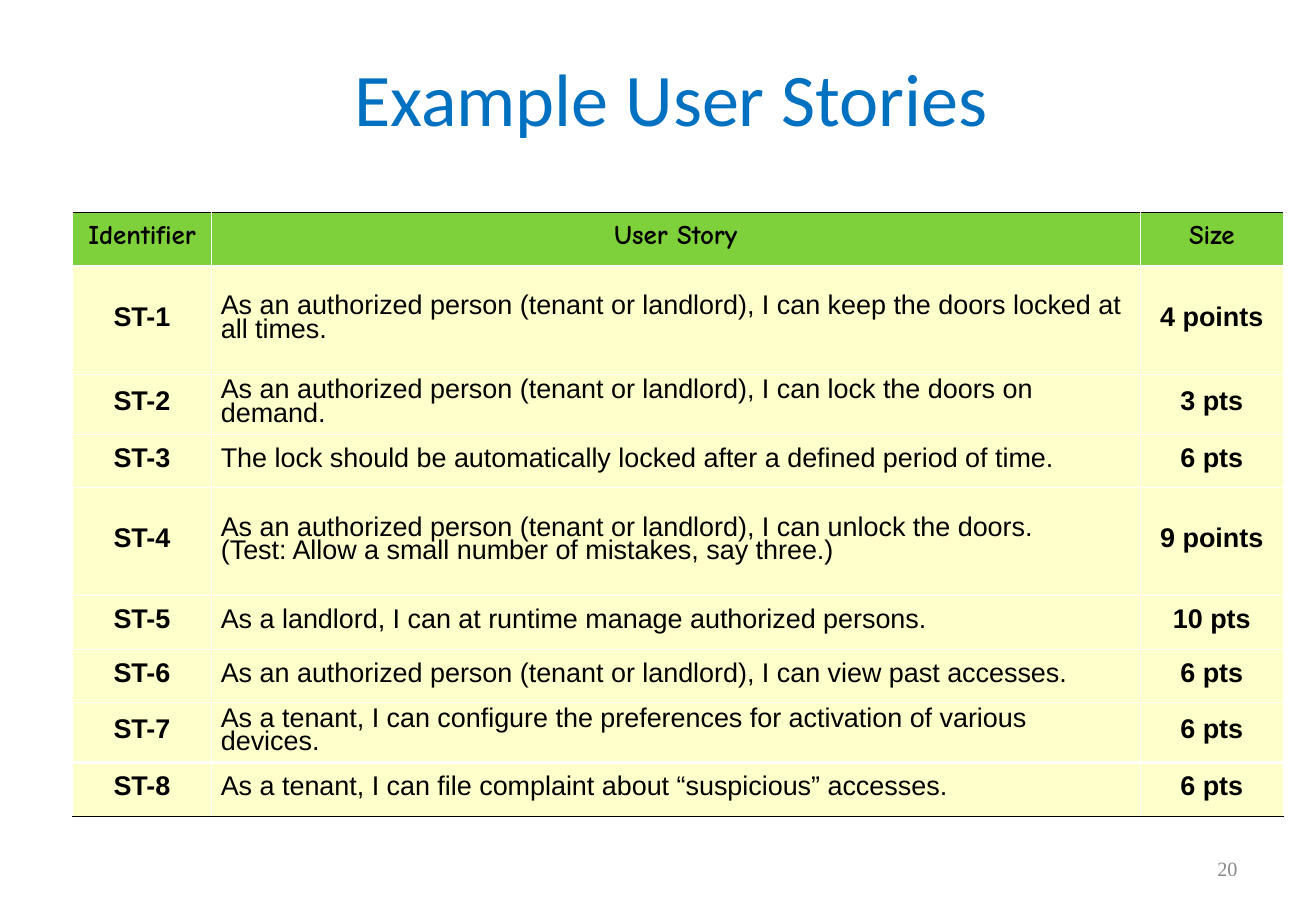
import pptx
import pptx.dml.color
import pptx.enum.text
import pptx.oxml
import pptx.oxml.ns
import pptx.util
from dataclasses import dataclass
from pptx.util import Cm, Pt

# Content
TITLE = "Example User Stories"
PAGE_NUMBER = "20"
HEADINGS = ("Identifier", "User Story", "Size")
STORIES = [
    ("ST-1", "As an authorized person (tenant or landlord), I can keep the doors locked at all times.", "4 points"),
    ("ST-2", "As an authorized person (tenant or landlord), I can lock the doors on demand.", "3 pts"),
    ("ST-3", "The lock should be automatically locked after a defined period of time.", "6 pts"),
    ("ST-4", "As an authorized person (tenant or landlord), I can unlock the doors.\n"
             "(Test: Allow a small number of mistakes, say three.)", "9 points"),
    ("ST-5", "As a landlord, I can at runtime manage authorized persons.", "10 pts"),
    ("ST-6", "As an authorized person (tenant or landlord), I can view past accesses.", "6 pts"),
    ("ST-7", "As a tenant, I can configure the preferences for activation of various devices.", "6 pts"),
    ("ST-8", "As a tenant, I can file complaint about “suspicious” accesses.", "6 pts"),
]
COLUMN_WIDTHS = (2.9, 19.43, 3.0)
ROW_HEIGHT, TALL_ROW_HEIGHT = 1.12, 2.26
TALL_ROWS = {1, 4}
STORY_COLUMN = 1


@dataclass(frozen=True)
class Theme:
    title_color: str = "0070C0"
    text_color: str = "000000"
    number_color: str = "898989"
    header_fill: str = "7FD13B"
    body_fill: str = "FFFFCC"
    grid_color: str = "FFFFFF"
    frame_color: str = "000000"
    thin_line: float = 0.45
    thick_line: float = 1.47
    title_font: str = "Calibri"
    header_font: str = "Comic Neue"
    body_font: str = "Arial"
    number_font: str = "Times New Roman"
    title_size: int = 44
    table_size: int = 16
    number_size: int = 12


THEME = Theme()
ALIGN = pptx.enum.text.PP_ALIGN
MIDDLE = pptx.enum.text.MSO_ANCHOR.MIDDLE


def write(paragraph, text, font_name, size, color, alignment, bold=False):
    paragraph.text = text
    paragraph.alignment = alignment
    paragraph.font.name = font_name
    paragraph.font.size = Pt(size)
    paragraph.font.bold = bold
    paragraph.font.color.rgb = pptx.dml.color.RGBColor.from_string(color)


def add_border(cell, side, color, width):
    cell._tc.get_or_add_tcPr().append(pptx.oxml.parse_xml(
        f'<a:{side} {pptx.oxml.ns.nsdecls("a")} w="{Pt(width)}">'
        f'<a:solidFill><a:srgbClr val="{color}"/></a:solidFill></a:{side}>'))


def rule_above(row, row_count):
    """Colour and width of the horizontal rule above a row."""
    if row in (0, row_count):
        return THEME.frame_color, THEME.thin_line
    if row in (1, row_count - 1):
        return THEME.grid_color, THEME.thick_line
    return THEME.grid_color, THEME.thin_line


def format_cell(cell, text, row, column, row_count):
    is_header = row == 0
    is_story = column == STORY_COLUMN and not is_header
    for side in ("lnL", "lnR"):
        add_border(cell, side, THEME.grid_color, THEME.thin_line)
    add_border(cell, "lnT", *rule_above(row, row_count))
    add_border(cell, "lnB", *rule_above(row + 1, row_count))
    cell.fill.solid()
    fill_color = THEME.header_fill if is_header else THEME.body_fill
    cell.fill.fore_color.rgb = pptx.dml.color.RGBColor.from_string(fill_color)

    cell.vertical_anchor = MIDDLE
    cell.margin_left = cell.margin_right = Cm(0.05 if is_header and column == 0 else 0.2)
    cell.margin_top = cell.margin_bottom = Cm(0.13)
    paragraph = cell.text_frame.paragraphs[0]
    write(paragraph, text, THEME.header_font if is_header else THEME.body_font, THEME.table_size,
          THEME.text_color, ALIGN.LEFT if is_story else ALIGN.CENTER, bold=not is_story)
    paragraph.line_spacing = Pt(14)
    paragraph.space_before = paragraph.space_after = Pt(2)


def main():
    presentation = pptx.Presentation()
    presentation.slide_width, presentation.slide_height = Cm(27.53), Cm(19.05)
    slide = presentation.slides.add_slide(presentation.slide_layouts[5])

    # Title
    title = slide.shapes.title
    title.left, title.top, title.width, title.height = Cm(1.14), Cm(0.43), Cm(25.81), Cm(3.18)
    title.text_frame.vertical_anchor = MIDDLE
    write(title.text_frame.paragraphs[0], TITLE, THEME.title_font, THEME.title_size,
          THEME.title_color, ALIGN.CENTER)

    # Story table
    rows = [HEADINGS, *STORIES]
    heights = [TALL_ROW_HEIGHT if row in TALL_ROWS else ROW_HEIGHT for row in range(len(rows))]
    table = slide.shapes.add_table(len(rows), len(HEADINGS), Cm(1.52), Cm(4.45),
                                   Cm(sum(COLUMN_WIDTHS)), Cm(sum(heights))).table
    table.horz_banding = False
    for column, width in enumerate(COLUMN_WIDTHS):
        table.columns[column].width = Cm(width)
    for row, (texts, height) in enumerate(zip(rows, heights)):
        table.rows[row].height = Cm(height)
        for column, text in enumerate(texts):
            format_cell(table.cell(row, column), text, row, column, len(rows))

    # Page number
    number = slide.shapes.add_textbox(Cm(19.71), Cm(17.65), Cm(6.43), Cm(1.02))
    number.text_frame.word_wrap = True
    number.text_frame.vertical_anchor = MIDDLE
    write(number.text_frame.paragraphs[0], PAGE_NUMBER, THEME.number_font, THEME.number_size,
          THEME.number_color, ALIGN.RIGHT)

    presentation.save("out.pptx")


if __name__ == "__main__":
    main()
